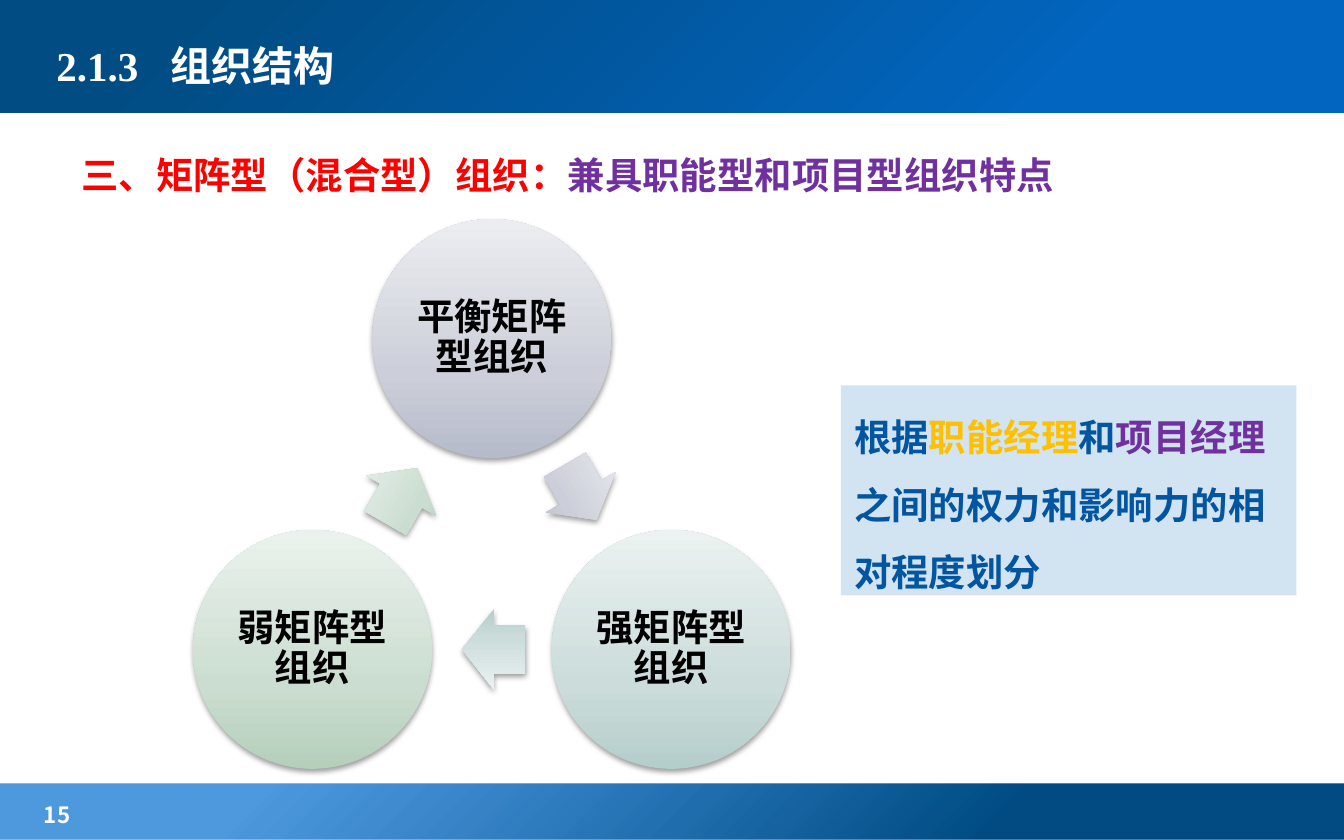
from math import cos, radians, sin

from lxml.etree import SubElement
from pptx import Presentation
from pptx.dml.color import RGBColor
from pptx.enum.shapes import MSO_SHAPE
from pptx.enum.text import MSO_ANCHOR, MSO_AUTO_SIZE, PP_ALIGN
from pptx.oxml import parse_xml
from pptx.oxml.ns import nsdecls, qn
from pptx.util import Pt


def write_text(shape, runs, size=20, latin="Times New Roman", align=PP_ALIGN.LEFT,
               anchor=MSO_ANCHOR.TOP, spacing=None, inset=None, fit=MSO_AUTO_SIZE.NONE):
    """Fill a shape with one bold paragraph made of (text, colour) runs."""
    frame = shape.text_frame
    frame.word_wrap = True
    frame.auto_size = fit
    frame.vertical_anchor = anchor
    if inset is not None:
        frame.margin_left = frame.margin_right = Pt(inset)
        frame.margin_top = frame.margin_bottom = Pt(inset)
    paragraph = frame.paragraphs[0]
    paragraph.alignment = align
    if spacing:
        paragraph.line_spacing = spacing
    for text, colour in runs:
        run = paragraph.add_run()
        run.text = text
        run.font.size = Pt(size)
        run.font.bold = True
        run.font.color.rgb = RGBColor.from_string(colour)
        run.font.name = latin
        SubElement(run.font._element, qn("a:ea"), typeface="Noto Sans CJK SC")
    return paragraph


def fill_gradient(shape, stops, direction):
    """Apply (percent, colour, opacity percent) stops along an XML direction element."""
    shape.line.fill.background()
    stop_xml = "".join(
        f'<a:gs pos="{position * 1000}"><a:srgbClr val="{colour}">'
        f'<a:alpha val="{opacity * 1000}"/></a:srgbClr></a:gs>'
        for position, colour, opacity in stops)
    gradient = parse_xml(f'<a:gradFill rotWithShape="1" {nsdecls("a")}>'
                         f"<a:gsLst>{stop_xml}</a:gsLst>{direction}</a:gradFill>")
    shape._element.spPr.find(qn("a:prstGeom")).addnext(gradient)


RADIAL = '<a:path path="circle"><a:fillToRect l="100000" t="100000"/></a:path>'
UPWARD = '<a:lin ang="16200000" scaled="1"/>'

presentation = Presentation()
presentation.slide_width = Pt(720)
presentation.slide_height = Pt(450)
slide = presentation.slides.add_slide(presentation.slide_layouts[5])
shapes = slide.shapes

# Header and footer bands, kept behind the title
bands = [
    (420, 30, [(26, "014C83", 100), (80, "026DCE", 70)]),
    (-2, 62.5, [(21, "0265BF", 100), (86, "014C83", 100)]),
]
for top, height, stops in bands:
    band = shapes.add_shape(MSO_SHAPE.RECTANGLE, 0, Pt(top), Pt(720), Pt(height))
    band.shadow.inherit = False
    fill_gradient(band, stops, RADIAL)
    shapes.title._element.addprevious(band._element)

page_number = shapes.add_textbox(Pt(16.5), Pt(425.5), Pt(113), Pt(19))
write_text(page_number, [("15", "FFFFFF")], size=12, latin="Noto Sans CJK SC")

title = shapes.title
title.left, title.top, title.width, title.height = Pt(23), Pt(9.5), Pt(459), Pt(51)
paragraph = write_text(title, [("2.1.3\t组织结构", "FFFFFF")], size=22,
                       anchor=MSO_ANCHOR.MIDDLE)
tabs = SubElement(paragraph._p.get_or_add_pPr(), qn("a:tabLst"))
SubElement(tabs, qn("a:tab"), pos=str(Pt(61)), algn="l")

heading = shapes.add_textbox(Pt(36.5), Pt(66), Pt(669), Pt(281))
write_text(heading, [("三、矩阵型（混合型）组织：", "FF0000"),
                     ("兼具职能型和项目型组织特点", "7030A0")], spacing=1.5)

# Cycle: circles on the corners of an equilateral triangle, arrows on its sides
CENTRE_X, CENTRE_Y, RADIUS = 263.5, 292.4, 111
CIRCLE, ARROW_LENGTH, ARROW_WIDTH = 128, 34, 43
ARROW_SETBACK = 1
cycle_steps = [
    ("平衡矩阵型组织", ("B6BBCA", "CCCFD9", "ECEDF1")),
    ("强矩阵型组织", ("B4CECB", "CBDCDA", "EBF2F1")),
    ("弱矩阵型组织", ("B5CFBB", "CBDDD0", "EBF2ED")),
]
cycle = shapes.add_group_shape()
for index, (label, colours) in enumerate(cycle_steps):
    corner = radians(120 * index - 90)
    circle = cycle.shapes.add_shape(
        MSO_SHAPE.OVAL,
        Pt(CENTRE_X + RADIUS * cos(corner) - CIRCLE / 2),
        Pt(CENTRE_Y + RADIUS * sin(corner) - CIRCLE / 2), Pt(CIRCLE), Pt(CIRCLE))
    write_text(circle, [(label, "000000")], align=PP_ALIGN.CENTER,
               anchor=MSO_ANCHOR.MIDDLE, spacing=0.9, inset=2)

    side = radians(120 * index - 30)
    heading_angle = 120 * index + 60
    back_x = ARROW_SETBACK * cos(radians(heading_angle))
    back_y = ARROW_SETBACK * sin(radians(heading_angle))
    arrow = cycle.shapes.add_shape(
        MSO_SHAPE.RIGHT_ARROW,
        Pt(CENTRE_X + RADIUS / 2 * cos(side) - back_x - ARROW_LENGTH / 2),
        Pt(CENTRE_Y + RADIUS / 2 * sin(side) - back_y - ARROW_WIDTH / 2),
        Pt(ARROW_LENGTH), Pt(ARROW_WIDTH))
    arrow.rotation = heading_angle
    arrow.adjustments[0] = 0.6
    arrow.adjustments[1] = 0.5

    stops = [(position, colour, 100) for position, colour in zip((0, 35, 100), colours)]
    for shape in (circle, arrow):
        fill_gradient(shape, stops, UPWARD)
        shape._element.spPr.append(parse_xml(
            f'<a:effectLst {nsdecls("a")}><a:outerShdw blurRad="{Pt(3.1)}" '
            f'dist="{Pt(1.6)}" dir="5400000" rotWithShape="0"><a:srgbClr val="000000">'
            '<a:alpha val="38000"/></a:srgbClr></a:outerShdw></a:effectLst>'))

note = shapes.add_textbox(Pt(450.5), Pt(206.5), Pt(244), Pt(112.5))
note.fill.solid()
note.fill.fore_color.rgb = RGBColor.from_string("D2E3F1")
write_text(note, [("根据", "0255A0"), ("职能经理", "FFC000"), ("和", "0255A0"),
                  ("项目经理", "7030A0"), ("之间的权力和影响力的相对程度划分", "0255A0")],
           spacing=1.5, fit=MSO_AUTO_SIZE.SHAPE_TO_FIT_TEXT)

presentation.save("out.pptx")
